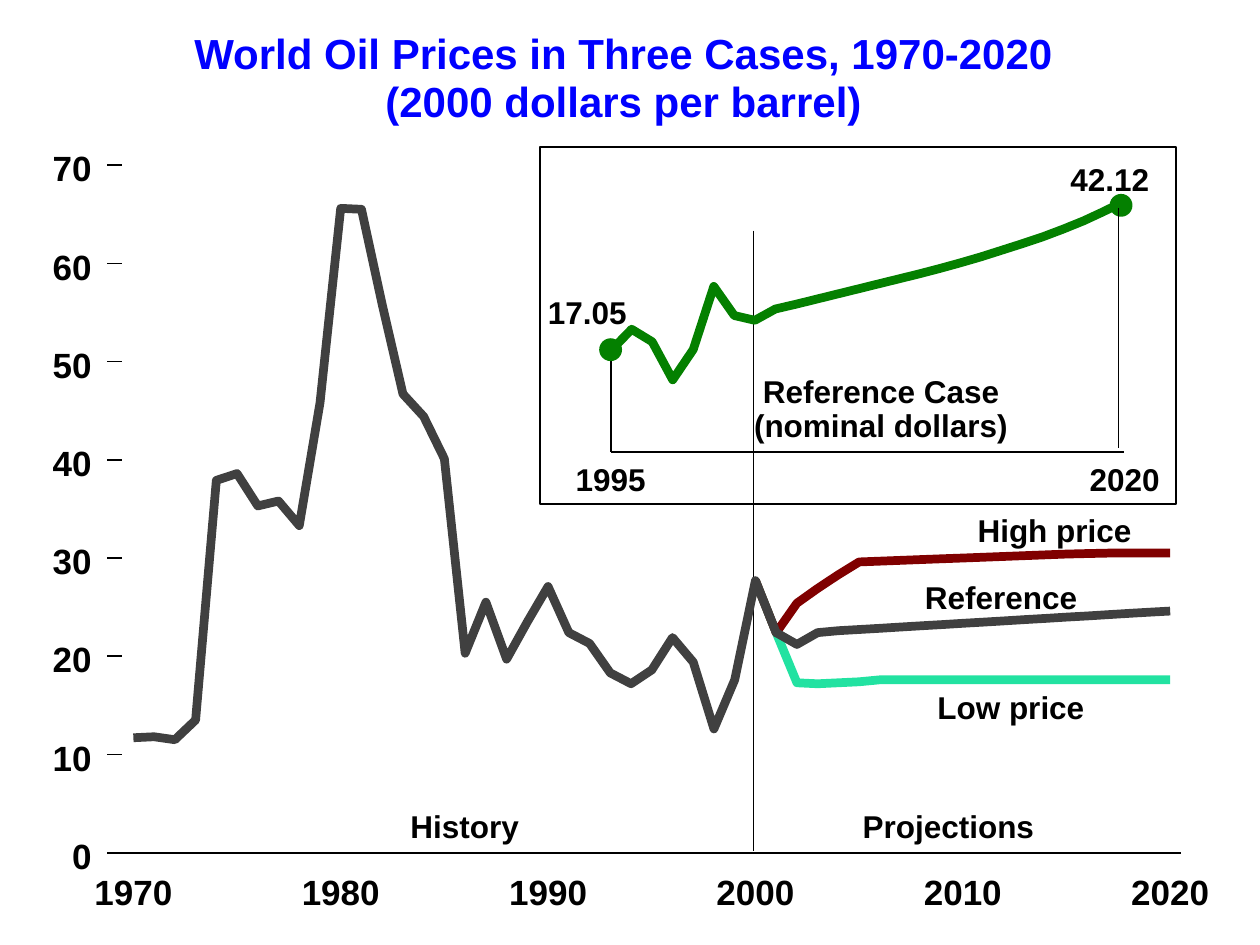
from dataclasses import dataclass

from lxml.etree import SubElement
from pptx import Presentation
from pptx.dml.color import RGBColor
from pptx.enum.shapes import MSO_CONNECTOR, MSO_SHAPE
from pptx.enum.text import MSO_AUTO_SIZE, PP_ALIGN
from pptx.oxml.ns import qn
from pptx.util import Cm, Pt

BLACK, GREY, GREEN, BLUE = "000000", "404040", "048000", "0000FF"
DARK_RED, MINT = "800000", "22E2A1"


@dataclass
class Axes:
    """Places years and prices on the slide, in centimetres."""
    first_year: int
    left: float
    per_year: float
    base: float
    per_dollar: float

    def x(self, year: int) -> float:
        return self.left + (year - self.first_year) * self.per_year

    def y(self, price: float) -> float:
        return self.base - price * self.per_dollar


@dataclass
class Series:
    axes: Axes
    start: int
    color: str
    prices: list[float]


@dataclass
class Label:
    text: str
    center: float
    top: float
    width: float
    height: float = 0.76
    size: float = 18
    color: str = BLACK
    align: PP_ALIGN = PP_ALIGN.CENTER
    spacing: float = 1.0


MAIN = Axes(1970, 2.69, 0.418, 17.19, 0.198)
INSET = Axes(1995, 12.32, 0.414, 9.11, 0.12)

LOW = Series(MAIN, 2000, MINT, [27.7, 22.4, 17.3, 17.2, 17.3, 17.4] + [17.6] * 15)
HIGH = Series(MAIN, 2000, DARK_RED, [
    27.7, 22.4, 25.4, 26.9, 28.3, 29.6, 29.68, 29.76, 29.84, 29.92, 30.0,
    30.08, 30.16, 30.24, 30.32, 30.4, 30.45] + [30.5] * 4)
REFERENCE = Series(MAIN, 1970, GREY, [
    11.7, 11.8, 11.5, 13.5, 37.9, 38.6, 35.3, 35.8, 33.3, 45.8,
    65.6, 65.5, 55.8, 46.7, 44.4, 40.1, 20.3, 25.5, 19.7, 23.5,
    27.1, 22.4, 21.3, 18.3, 17.2, 18.6, 21.9, 19.4, 12.6, 17.6,
    27.7, 22.4, 21.2, 22.4, 22.6, 22.72, 22.84, 22.97, 23.1, 23.22,
    23.35, 23.47, 23.6, 23.73, 23.85, 23.98, 24.1, 24.23, 24.36, 24.48, 24.6])
NOMINAL = Series(INSET, 1995, GREEN, [
    17.05, 20.6, 18.5, 12.1, 17.2, 27.8, 22.9, 22.1, 24.0, 24.8, 25.65,
    26.5, 27.35, 28.2, 29.05, 29.9, 30.8, 31.75, 32.75, 33.85, 34.95,
    36.1, 37.4, 38.8, 40.4, 42.12])

LABELS = [
    Label("Reference", 20.18, 11.66, 3.2),
    Label("Low price", 20.38, 13.87, 3.1),
    Label("High price", 21.26, 10.31, 3.2),
    Label("History", 9.37, 16.27, 2.3),
    Label("Projections", 19.12, 16.27, 3.6),
    Label("17.05", 11.84, 5.9, 1.7),
    Label("42.12", 22.37, 3.22, 1.7),
    Label("Reference Case\n(nominal dollars)", 17.76, 7.59, 5.3, 1.37, spacing=0.9),
    Label("1995", 12.31, 9.27, 1.5),
    Label("2020", 22.67, 9.27, 1.5),
]
TITLE = Label("World Oil Prices in Three Cases, 1970-2020\n(2000 dollars per barrel)",
              12.57, 0.64, 17.4, 1.93, 24, BLUE, spacing=0.95)


def rgb(color: str) -> RGBColor:
    return RGBColor.from_string(color)


def draw_line(shapes, x1: float, y1: float, x2: float, y2: float, weight: float = 1) -> None:
    line = shapes.add_connector(MSO_CONNECTOR.STRAIGHT, Cm(x1), Cm(y1), Cm(x2), Cm(y2))
    line.line.color.rgb = rgb(BLACK)
    line.line.width = Pt(weight)
    SubElement(line._element.spPr, qn("a:effectLst"))


def draw_series(shapes, series: Series) -> None:
    axes = series.axes
    points = [(Cm(axes.x(year)), Cm(axes.y(price)))
              for year, price in enumerate(series.prices, series.start)]
    builder = shapes.build_freeform(*points[0])
    builder.add_line_segments(points[1:], close=False)
    curve = builder.convert_to_shape()
    curve.shadow.inherit = False
    curve.fill.background()
    curve.line.color.rgb = rgb(series.color)
    curve.line.width = Pt(5)


def draw_marker(shapes, x: float, y: float, size: float = 0.43) -> None:
    dot = shapes.add_shape(MSO_SHAPE.OVAL, Cm(x - size / 2), Cm(y - size / 2), Cm(size), Cm(size))
    dot.shadow.inherit = False
    dot.fill.solid()
    dot.fill.fore_color.rgb = dot.line.color.rgb = rgb(GREEN)
    dot.line.width = Pt(0.88)


def draw_label(shapes, label: Label) -> None:
    left = label.center - label.width / 2
    box = shapes.add_textbox(Cm(left), Cm(label.top), Cm(label.width), Cm(label.height))
    frame = box.text_frame
    frame.margin_left = frame.margin_right = frame.margin_top = frame.margin_bottom = 0
    frame.word_wrap = False
    frame.auto_size = MSO_AUTO_SIZE.SHAPE_TO_FIT_TEXT
    frame.text = label.text
    for paragraph in frame.paragraphs:
        paragraph.alignment = label.align
        paragraph.line_spacing = label.spacing
        font = paragraph.font
        font.name, font.size, font.bold = "Arial", Pt(label.size), True
        font.color.rgb = rgb(label.color)


def main() -> None:
    deck = Presentation()
    deck.slide_width, deck.slide_height = Cm(25.4), Cm(19.05)
    shapes = deck.slides.add_slide(deck.slide_layouts[6]).shapes

    # Divider between history and projections, then the price curves
    draw_line(shapes, 15.19, 4.65, 15.19, 17.15, 0.75)
    for series in (LOW, HIGH, REFERENCE):
        draw_series(shapes, series)

    # Axes with their ticks and labels
    draw_line(shapes, 2.46, MAIN.base, 23.8, MAIN.base)
    for price in range(0, 71, 10):
        y = MAIN.y(price)
        draw_line(shapes, 2.16, y, 2.46, y)
        width = 0.42 * len(str(price))
        draw_label(shapes, Label(str(price), 1.85 - width / 2, y - 0.37, width, 0.84, 20,
                                 align=PP_ALIGN.RIGHT))
    for year in range(1970, 2021, 10):
        draw_label(shapes, Label(str(year), MAIN.x(year), 17.55, 1.66, 0.84, 20))

    # Inset frame
    frame = shapes.add_shape(MSO_SHAPE.RECTANGLE, Cm(10.88), Cm(2.97), Cm(12.83), Cm(7.19))
    frame.shadow.inherit = False
    frame.fill.background()
    frame.line.color.rgb = rgb(BLACK)
    frame.line.width = Pt(1)

    # Inset curve, axis, end markers and drop lines
    draw_series(shapes, NOMINAL)
    draw_line(shapes, INSET.left, INSET.base, 22.66, INSET.base)
    draw_line(shapes, INSET.left, INSET.base, INSET.left, 7.24)
    draw_marker(shapes, 22.6, 4.14)
    draw_marker(shapes, 12.31, 7.05)
    draw_line(shapes, 22.55, 4.19, 22.55, 9.04, 0.75)

    # Captions and title
    for label in LABELS + [TITLE]:
        draw_label(shapes, label)

    deck.save("out.pptx")


if __name__ == "__main__":
    main()
